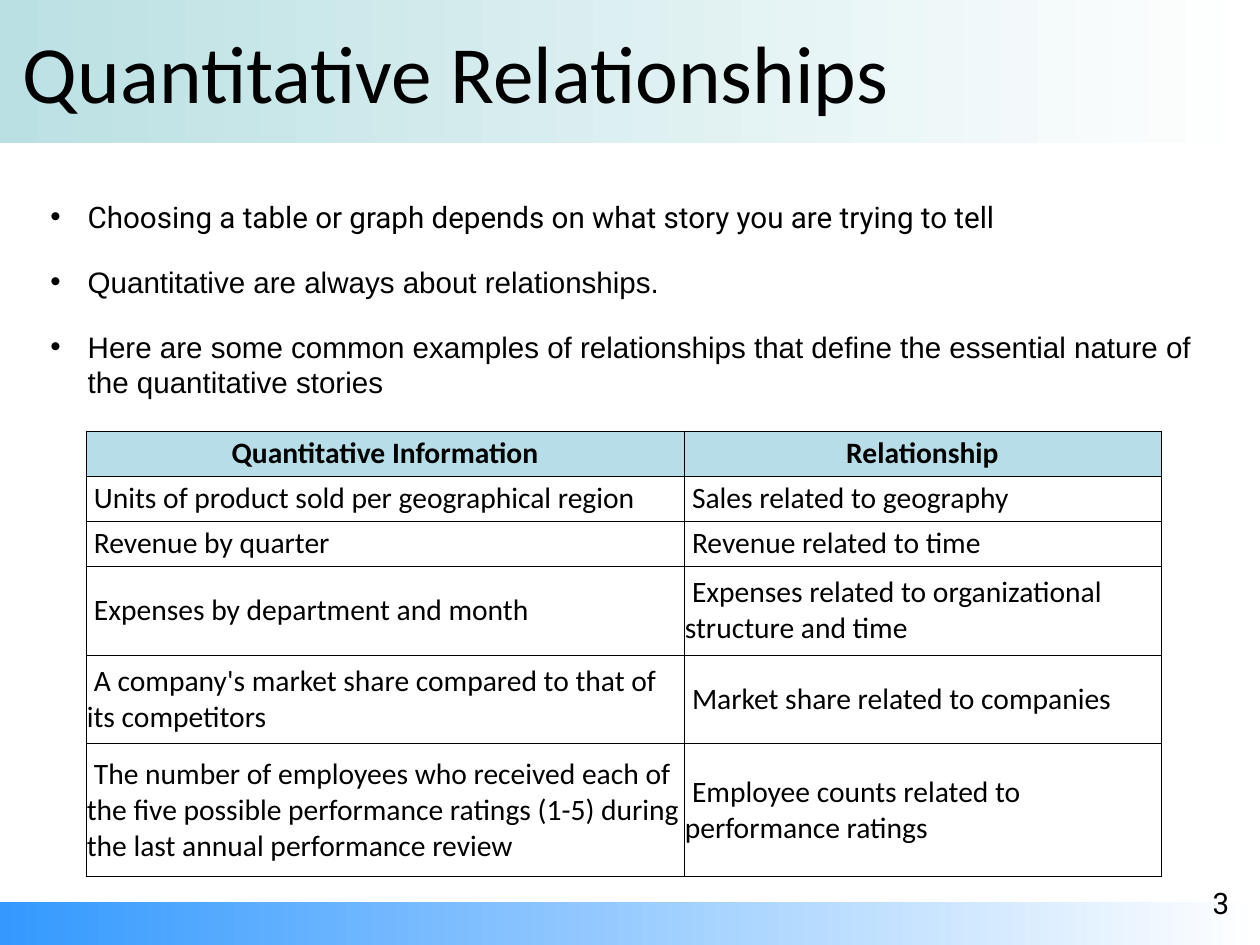
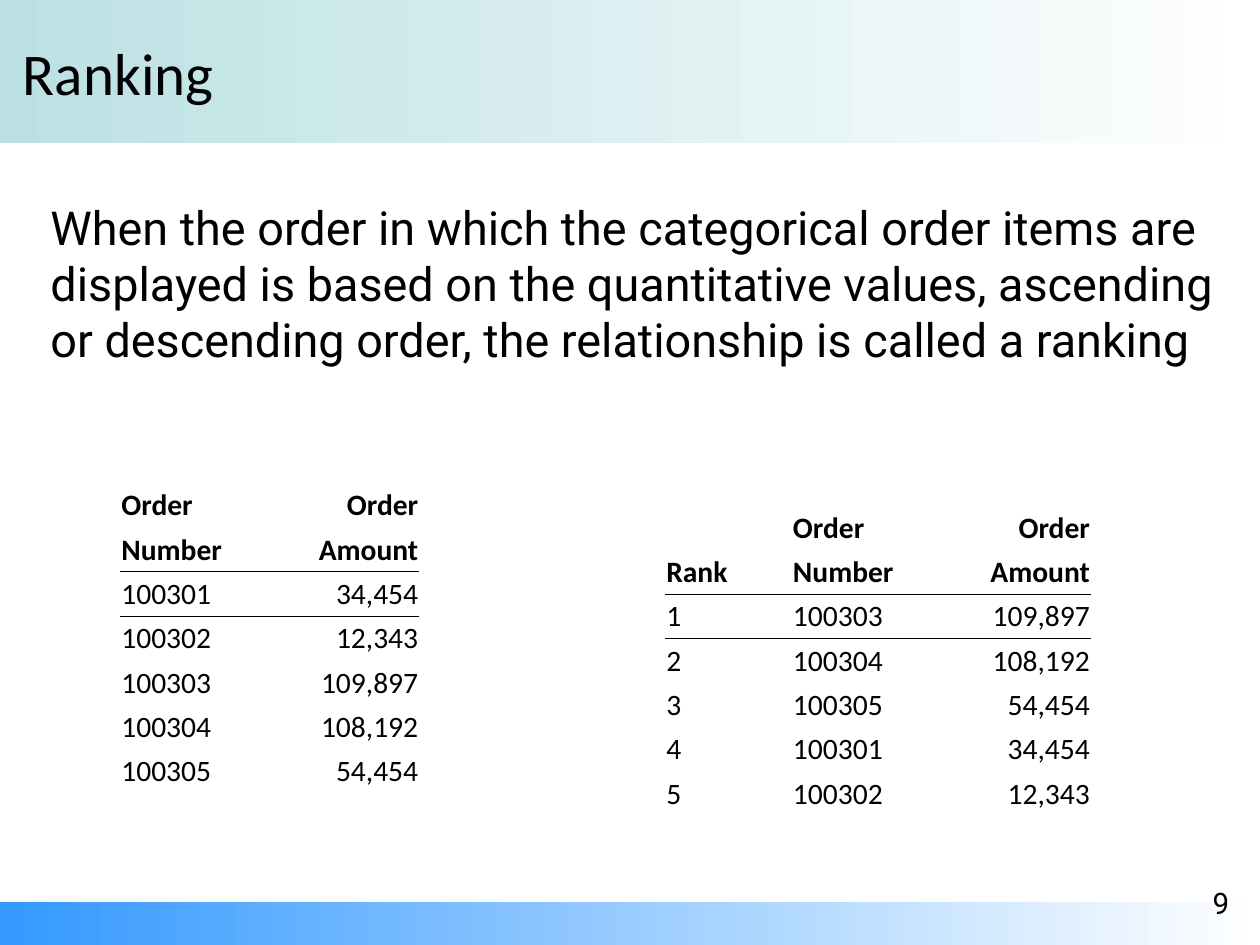
from lxml.etree import SubElement
from pptx import Presentation
from pptx.dml.color import RGBColor
from pptx.enum.shapes import MSO_SHAPE
from pptx.enum.text import MSO_ANCHOR, PP_ALIGN
from pptx.oxml.ns import qn
from pptx.util import Inches, Pt

COLOURS = {"black": "000000", "white": "FFFFFF", "footer": "3399FF",
           "banner": "BBE0E3", "swoosh": "469EF4", "header": "B7DEE8"}
WIDTH, HEIGHT = 14.22, 10.66
BANNER_HEIGHT = 1.61
NO_STYLE = "{2D5ABB26-0587-4C30-8999-92F81FD0307C}"
SWOOSH_CURVES = [
    [(-0.01, 2.11), (2.93, 2.06), (6.01, 1.96), (8.81, 1.96)],
    [(8.81, 1.96), (11.61, 1.96), (12.41, 2.0), (14.2, 2.02)],
    [(14.2, 2.02), (14.21, 1.88), (14.22, 1.75), (14.22, 1.61)],
]


def colour(name):
    return RGBColor.from_string(COLOURS[name])


def curve_points(curve, steps=24):
    for step in range(1, steps + 1):
        t = step / steps
        weights = ((1 - t) ** 3, 3 * t * (1 - t) ** 2, 3 * t * t * (1 - t), t ** 3)
        yield tuple(sum(weight * point[axis] for weight, point in zip(weights, curve))
                    for axis in (0, 1))


class Deck:
    """Hold the shared style and the slide being filled."""

    def __init__(self):
        self.presentation = Presentation()
        self.presentation.slide_width = Inches(WIDTH)
        self.presentation.slide_height = Inches(HEIGHT)
        self.slide = None

    def start_slide(self):
        self.slide = self.presentation.slides.add_slide(self.presentation.slide_layouts[6])

    def frame(self, title, title_size, number):
        self.band(10.17, 0.5, "footer")
        self.band(0, BANNER_HEIGHT, "banner")
        self.swoosh()
        self.text([title], (0.26, 0, 11.66, BANNER_HEIGHT), title_size, ["Calibri"],
                  margins=(0, 0), anchor=MSO_ANCHOR.MIDDLE)
        self.text([number], (13.36, 9.93, 0.84, 0.56), 24, ["Roboto"],
                  margins=(0.1, 0.05), align=PP_ALIGN.CENTER)

    def gradient(self, shape, start, end):
        shape.shadow.inherit = False
        shape.line.fill.background()
        shape.fill.gradient()
        shape.fill.gradient_angle = 0
        for stop, name, position in zip(shape.fill.gradient_stops, (start, end), (0, 1)):
            stop.color.rgb = colour(name)
            stop.position = position

    def band(self, top, height, start):
        shape = self.slide.shapes.add_shape(MSO_SHAPE.RECTANGLE, 0, Inches(top),
                                            Inches(WIDTH), Inches(height))
        self.gradient(shape, start, "white")

    def swoosh(self):
        builder = self.slide.shapes.build_freeform(-0.03, BANNER_HEIGHT, scale=Inches(1))
        points = [SWOOSH_CURVES[0][0]]
        for curve in SWOOSH_CURVES:
            points.extend(curve_points(curve))
        builder.add_line_segments(points, close=True)
        self.gradient(builder.convert_to_shape(), "white", "swoosh")

    def run(self, paragraph, text, size, font, bold=False):
        run = paragraph.add_run()
        run.text = text
        run.font.size = Pt(size)
        run.font.name = font
        run.font.bold = bold
        run.font.color.rgb = colour("black")

    def text(self, texts, box, size, fonts, margins=(0.06, 0.06), anchor=MSO_ANCHOR.TOP,
             align=PP_ALIGN.LEFT, bullets=False):
        shape = self.slide.shapes.add_textbox(*map(Inches, box))
        frame = shape.text_frame
        frame.word_wrap = True
        frame.vertical_anchor = anchor
        frame.margin_left = frame.margin_right = Inches(margins[0])
        frame.margin_top = frame.margin_bottom = Inches(margins[1])
        for index, (text, font) in enumerate(zip(texts, fonts)):
            paragraph = frame.add_paragraph() if index else frame.paragraphs[0]
            paragraph.alignment = align
            if index:
                paragraph.space_before = Pt(size)
            if bullets:
                self.bullet(paragraph)
            self.run(paragraph, text, size, font)

    def bullet(self, paragraph):
        properties = paragraph._p.get_or_add_pPr()
        properties.set("marL", str(Inches(0.42)))
        properties.set("indent", str(-Inches(0.42)))
        SubElement(properties, qn("a:buFont"), typeface="Arial")
        SubElement(properties, qn("a:buChar"), char="•")

    def table(self, rows, position, widths, heights):
        frame = self.slide.shapes.add_table(len(rows), len(widths), *map(Inches, (
            *position, sum(widths), sum(heights))))
        table = frame.table
        table.first_row = table.horz_banding = False
        next(frame._element.iter(qn("a:tableStyleId"))).text = NO_STYLE
        for column, width in zip(table.columns, widths):
            column.width = Inches(width)
        for row, height in zip(table.rows, heights):
            row.height = Inches(height)
        return table

    def cell(self, cell, text, anchor, align, bold=False, indent=0, borders="",
             border_width=0.75, fill=None):
        cell.vertical_anchor = anchor
        cell.margin_left = cell.margin_right = Inches(0.01)
        cell.margin_top = cell.margin_bottom = Inches(0.04)
        properties = cell._tc.get_or_add_tcPr()
        for side in borders:
            line = SubElement(properties, qn("a:ln" + side), w=str(Pt(border_width)))
            solid = SubElement(line, qn("a:solidFill"))
            SubElement(solid, qn("a:srgbClr"), val=COLOURS["black"])
        if fill:
            cell.fill.solid()
            cell.fill.fore_color.rgb = colour(fill)
        else:
            cell.fill.background()
        paragraph = cell.text_frame.paragraphs[0]
        paragraph.alignment = align
        if indent:
            paragraph._p.get_or_add_pPr().set("indent", str(Inches(indent)))
        if text:
            self.run(paragraph, text, 24, "Calibri", bold)

    def grid_table(self, rows, position, widths, heights):
        table = self.table(rows, position, widths, heights)
        for row_index, row in enumerate(rows):
            header = row_index == 0
            for column_index, text in enumerate(row):
                self.cell(table.cell(row_index, column_index), text, MSO_ANCHOR.MIDDLE,
                          PP_ALIGN.CENTER if header else PP_ALIGN.LEFT, bold=header,
                          indent=0 if header else 0.08, borders="LRTB",
                          border_width=0.45, fill="header" if header else None)

    def order_table(self, rows, position, widths, first_height=0.5):
        heights = [first_height] + [0.5] * (len(rows) - 1)
        table = self.table(rows, position, widths, heights)
        for row_index, row in enumerate(rows):
            borders = {1: "B", 2: "T"}.get(row_index, "")
            for column_index, text in enumerate(row):
                last = column_index == len(row) - 1
                self.cell(table.cell(row_index, column_index), text, MSO_ANCHOR.BOTTOM,
                          PP_ALIGN.RIGHT if last else PP_ALIGN.LEFT,
                          bold=row_index < 2, borders=borders)


def main():
    deck = Deck()

    deck.start_slide()
    deck.text([
        "Choosing a table or graph depends on what story you are trying to tell",
        "Quantitative are always about relationships.",
        "Here are some common examples of relationships that define the essential "
        "nature of the quantitative stories",
    ], (0.51, 2.18, 13.38, 7.48), 24, ["Roboto", "Arial", "Arial"], bullets=True)
    deck.frame("Quantitative Relationships", 66, "3")
    deck.grid_table([
        ("Quantitative Information", "Relationship"),
        ("Units of product sold per geographical region", "Sales related to geography"),
        ("Revenue by quarter", "Revenue related to time"),
        ("Expenses by department and month",
         "Expenses related to organizational structure and time"),
        ("A company's market share compared to that of its competitors",
         "Market share related to companies"),
        ("The number of employees who received each of the five possible performance "
         "ratings (1-5) during the last annual performance review",
         "Employee counts related to performance ratings"),
    ], (0.97, 4.86), (6.75, 5.38), (0.51, 0.51, 0.51, 1, 1, 1.5))

    deck.start_slide()
    deck.text([
        "When the order in which the categorical order items are displayed is based on "
        "the quantitative values, ascending or descending order, the relationship is "
        "called a ranking",
    ], (0.51, 2.18, 13.38, 8.23), 38, ["Roboto"])
    deck.frame("Ranking", 48, "9")
    orders = [("100301", 34454), ("100302", 12343), ("100303", 109897),
              ("100304", 108192), ("100305", 54454)]
    ranked = sorted(orders, key=lambda order: order[1], reverse=True)
    header = [("Order", "Order"), ("Number", "Amount")]
    deck.order_table(header + [(number, f"{amount:,}") for number, amount in orders],
                     (1.36, 5.45), (1.66, 1.71))
    deck.order_table(
        [("", *header[0]), ("Rank", *header[1])]
        + [(str(rank), number, f"{amount:,}")
           for rank, (number, amount) in enumerate(ranked, 1)],
        (7.51, 5.49), (1.43, 1.66, 1.71), first_height=0.71)

    deck.presentation.save("out.pptx")


if __name__ == "__main__":
    main()
